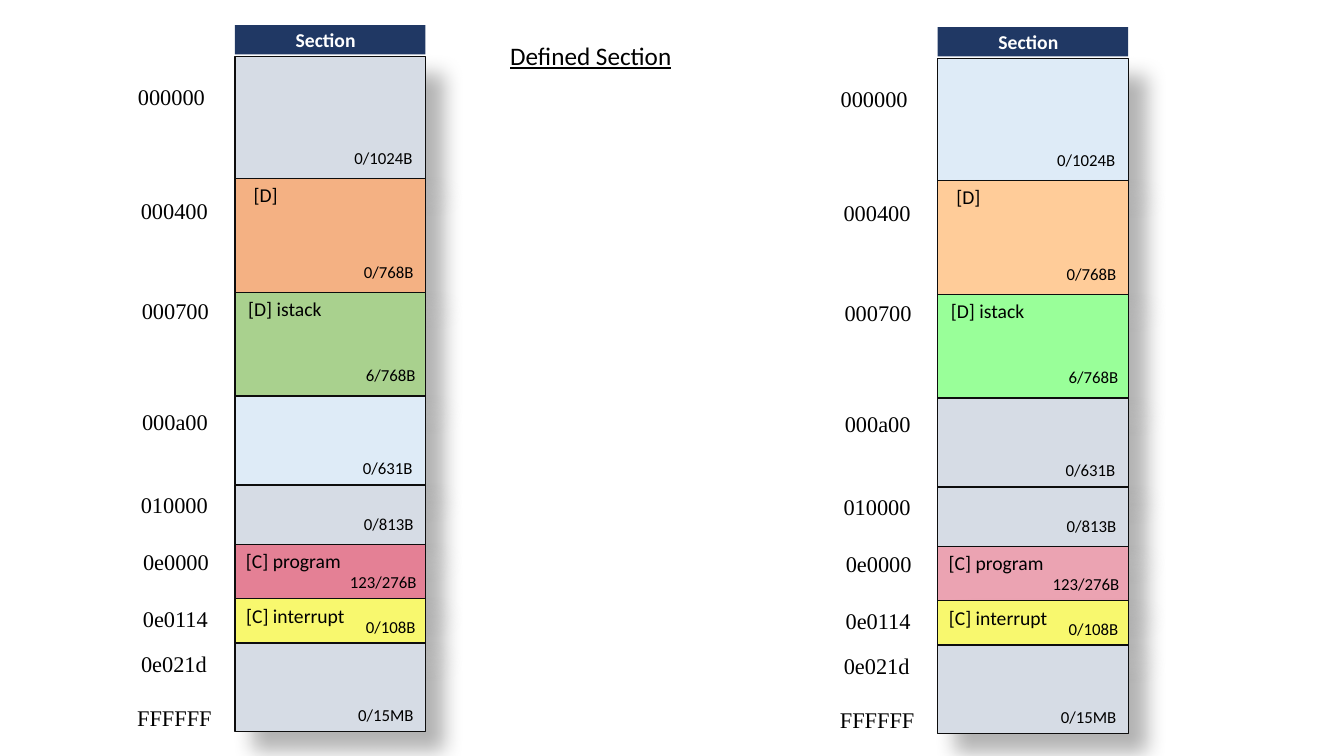
from itertools import pairwise
from lxml import etree
from pptx import Presentation, util as u
from pptx.dml.color import RGBColor
from pptx.enum import shapes, text
from pptx.oxml.ns import qn

theme = {
    "ink": "000000", "white": "FFFFFF", "edge": "0D0D0D", "head": "203864",
    "gray": "D6DCE5", "pale": "DEEBF7", "yellow": "F8F86E",
    "orange": "F4B183", "green": "A9D18E", "rose": "E48095",
    "peach": "FFCC99", "lime": "99FF99", "pink": "EBA3B2",
    "title": {"size": u.Pt(18), "name": "Calibri", "underline": True},
    "header": {"size": u.Pt(14), "name": "Calibri", "bold": True},
    "label": {"size": u.Pt(14), "name": "Calibri"},
    "bytes": {"size": u.Pt(12), "name": "Calibri"},
    "address": {"size": u.Pt(16), "name": "Times New Roman"},
}
GRID = u.Inches(0.01)  # all places below count steps of this grid
LEFT, CENTER, RIGHT = text.PP_ALIGN.LEFT, text.PP_ALIGN.CENTER, text.PP_ALIGN.RIGHT


def write(box, words, style, align, ink="ink", wrap=True):
    frame = box.text_frame
    form = {"word_wrap": wrap, "vertical_anchor": text.MSO_ANCHOR.TOP,
            "auto_size": text.MSO_AUTO_SIZE.SHAPE_TO_FIT_TEXT}
    for key, val in form.items():
        setattr(frame, key, val)
    line = frame.paragraphs[0]
    line.alignment = align
    run = line.add_run()
    run.text = words
    for key, val in theme[style].items():
        setattr(run.font, key, val)
    run.font.color.rgb = RGBColor.from_string(theme[ink])


def block(group, place, fill):
    box = group.shapes.add_shape(shapes.MSO_SHAPE.RECTANGLE, *(n * GRID for n in place))
    box.shadow.inherit = False
    box.fill.solid()
    box.fill.fore_color.rgb = RGBColor.from_string(theme[fill])
    return box


deck = Presentation()
deck.slide_width, deck.slide_height = 1333 * GRID, 750 * GRID
slide = deck.slides.add_slide(deck.slide_layouts[5])

# Title
title = slide.shapes.title
for key, val in {"left": 496, "top": 35, "width": 182, "height": 40}.items():
    setattr(title, key, val * GRID)
write(title, "Defined Section", "title", LEFT, wrap=False)

# Memory map: section edges, then name, name width, byte count, its left, top and width
edges = [56, 177, 290, 393, 481, 540, 594, 638, 726]
sections = [
    ("", 0, "0/1024B", 331, 142, 88),
    ("[D]", 61, "0/768B", 332, 255, 88),
    ("[D] istack", 99, "6/768B", 334, 357, 88),
    ("", 0, "0/631B", 331, 449, 88),
    ("", 0, "0/813B", 332, 505, 88),
    ("[C] program", 116, "123/276B", 323, 562, 100),
    ("[C] interrupt", 120, "0/108B", 322, 607, 100),
    ("", 0, "0/15MB", 332, 694, 88),
]
# Address, left, top, width, alignment
addresses = [
    ("000000", 117, 78, 106, CENTER),
    ("000400", 110, 191, 106, RIGHT),
    ("000700", 111, 290, 106, RIGHT),
    ("000a00", 110, 400, 106, RIGHT),
    ("010000", 110, 482, 106, RIGHT),
    ("0e0000", 111, 539, 106, RIGHT),
    ("0e0114", 110, 595, 106, RIGHT),
    ("0e021d", 128, 640, 89, CENTER),
    ("FFFFFF", 120, 694, 106, CENTER),
]
# Shift right, shift down, fills from top to bottom
stacks = [
    (0, 0, "gray orange green pale gray rose yellow gray"),
    (697, 2, "pale peach lime gray gray pink yellow gray"),
]

for dx, dy, fills in stacks:
    group = slide.shapes.add_group_shape()
    notes = [("Section", 279, 23, 88, 34, "header", CENTER, "white")]

    # Sections with a soft shadow
    for (top, end), fill, row in zip(pairwise(edges), fills.split(), sections):
        name, wide, count, x, y, w = row
        box = block(group, (233 + dx, top + dy, 189, end - top), fill)
        box.line.color.rgb = RGBColor.from_string(theme["edge"])
        box.line.width = u.Pt(1)
        glow = etree.SubElement(
            box._element.spPr.find(qn("a:effectLst")), qn("a:outerShdw"),
            blurRad=str(u.Pt(15)), dist=str(u.Pt(18)), dir="2700000",
            algn="tl", rotWithShape="0")
        tint = etree.SubElement(glow, qn("a:srgbClr"), val=theme["ink"])
        etree.SubElement(tint, qn("a:alpha"), val="30000")
        notes.append((count, x, y, w, 30, "bytes", RIGHT, "ink"))
        if name:
            notes.append((name, 233, top, wide, 34, "label", CENTER, "ink"))

    # Header bar
    block(group, (233 + dx, 25 + dy, 189, 29), "head").line.fill.background()

    # Names, byte counts and addresses
    notes += [(word, x, y, w, 37, "address", align, "ink")
              for word, x, y, w, align in addresses]
    for word, x, y, w, h, style, align, ink in notes:
        place = (x + dx, y + dy, w, h)
        box = group.shapes.add_textbox(*(n * GRID for n in place))
        write(box, word, style, align, ink)

deck.save("out.pptx")
